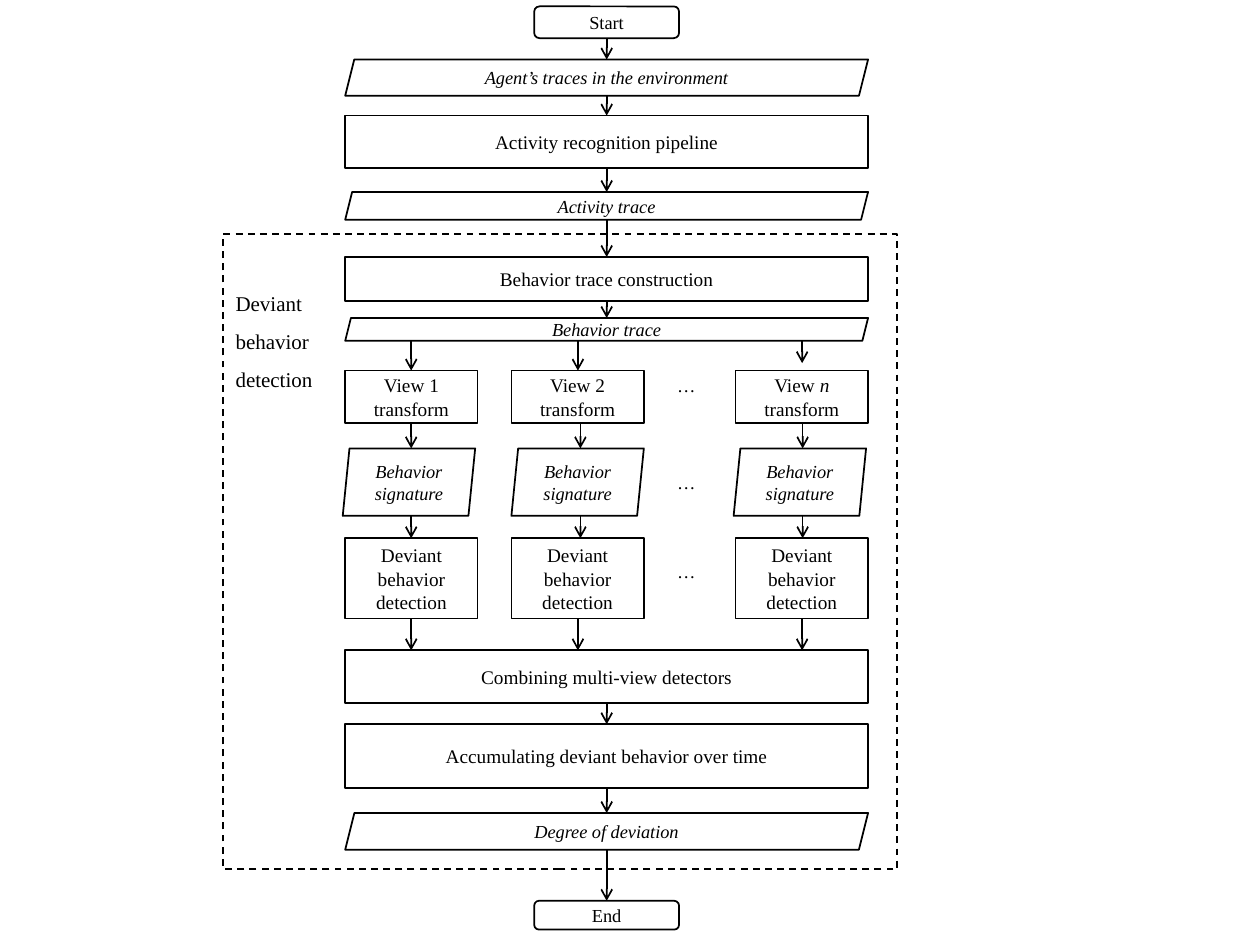
from itertools import pairwise
from typing import NamedTuple

from lxml.etree import SubElement
from pptx import Presentation
from pptx.dml.color import RGBColor
from pptx.enum.dml import MSO_LINE
from pptx.enum.shapes import MSO_CONNECTOR, MSO_SHAPE as Kind
from pptx.enum.text import MSO_ANCHOR as Anchor, PP_ALIGN as Align
from pptx.oxml.ns import qn
from pptx.util import Cm, Pt

BLACK = "000000"
FONT = "Times New Roman"
CENTER = 12.23
WIDE, TERMINAL, BOX = 10.54, 2.92, 2.67


class Step(NamedTuple):
    text: str
    top: float
    height: float
    kind: Kind = Kind.RECTANGLE
    width: float = WIDE

    @property
    def bottom(self) -> float:
        return self.top + self.height


class Column(NamedTuple):
    view: str
    left: float
    signature_left: float
    arrow_x: float
    signature_arrow_x: float
    entry_end: float


def color(value: str) -> RGBColor:
    return RGBColor.from_string(value)


def write(shape, text: str, *, size: float = 11, italic: bool = False,
          align=Align.CENTER, anchor=Anchor.MIDDLE, spacing: float = 1.0) -> None:
    frame = shape.text_frame
    frame.word_wrap = True
    frame.vertical_anchor = anchor
    for index, line in enumerate(text.split("\n")):
        paragraph = frame.add_paragraph() if index else frame.paragraphs[0]
        paragraph.alignment = align
        paragraph.line_spacing = spacing
        for part, words in enumerate(line.split("*")):
            run = paragraph.add_run()
            run.text = words
            run.font.name = FONT
            run.font.size = Pt(size)
            run.font.italic = italic or part % 2 == 1
            run.font.color.rgb = color(BLACK)


def outline(kind: Kind, left: float, top: float, width: float, height: float):
    shape = slide.shapes.add_shape(kind, Cm(left), Cm(top), Cm(width), Cm(height))
    shape.shadow.inherit = False
    shape.fill.background()
    shape.line.color.rgb = color(BLACK)
    shape.line.width = Pt(1)
    return shape


def add_step(step: Step, left: float):
    shape = outline(step.kind, left, step.top, step.width, step.height)
    write(shape, step.text, size=11 if step.kind == Kind.RECTANGLE else 10.5,
          italic=step.kind == Kind.PARALLELOGRAM)
    return shape


def add_arrow(x: float, start: float, end: float) -> None:
    connector = slide.shapes.add_connector(
        MSO_CONNECTOR.STRAIGHT, Cm(x), Cm(start), Cm(x), Cm(end))
    connector.line.color.rgb = color(BLACK)
    connector.line.width = Pt(1)
    SubElement(connector.line._get_or_add_ln(), qn("a:tailEnd"), type="arrow")
    SubElement(connector._element.spPr, qn("a:effectLst"))


def add_chain(steps: list[Step]) -> None:
    for step in steps:
        add_step(step, CENTER - step.width / 2)
    for upper, lower in pairwise(steps):
        add_arrow(CENTER, upper.bottom, lower.top)


def add_column(column: Column) -> None:
    view = Step(column.view, 7.47, 1.06, width=BOX)
    signature = Step("Behavior signature", 9.04, 1.36, Kind.PARALLELOGRAM, BOX)
    detection = Step("Deviant behavior detection", 10.85, 1.62, width=BOX)
    add_step(view, column.left)
    add_step(signature, column.signature_left).adjustments[0] = 0.1
    add_step(detection, column.left)
    add_arrow(column.arrow_x, preparation[-1].bottom, column.entry_end)
    add_arrow(column.signature_arrow_x, view.bottom, signature.top)
    add_arrow(column.signature_arrow_x, signature.bottom, detection.top)
    add_arrow(column.arrow_x, detection.bottom, conclusion[0].top)


def add_ellipsis(top: float) -> None:
    box = slide.shapes.add_textbox(Cm(13.38), Cm(top), Cm(0.91), Cm(0.38))
    frame = box.text_frame
    frame.margin_left = frame.margin_right = Cm(0)
    write(box, "…", size=10.5)


preparation = [
    Step("Start", 0.13, 0.64, Kind.ROUNDED_RECTANGLE, TERMINAL),
    Step("Agent’s traces in the environment", 1.2, 0.73, Kind.PARALLELOGRAM),
    Step("Activity recognition pipeline", 2.33, 1.06),
    Step("Activity trace", 3.87, 0.56, Kind.PARALLELOGRAM),
    Step("Behavior trace construction", 5.18, 0.89),
    Step("Behavior trace", 6.41, 0.46, Kind.PARALLELOGRAM),
]
conclusion = [
    Step("Combining multi-view detectors", 13.11, 1.06),
    Step("Accumulating deviant behavior over time", 14.6, 1.29),
    Step("Degree of deviation", 16.39, 0.74, Kind.PARALLELOGRAM),
    Step("End", 18.16, 0.58, Kind.ROUNDED_RECTANGLE, TERMINAL),
]
columns = [
    Column("View 1\ntransform", 6.96, 6.91, 8.29, 8.29, 7.47),
    Column("View 2\ntransform", 10.31, 10.31, 11.65, 11.7, 7.47),
    Column("View *n* transform", 14.83, 14.79, 16.17, 16.18, 7.32),
]

presentation = Presentation()
presentation.slide_width = Cm(25.4)
presentation.slide_height = Cm(19.05)
slide = presentation.slides.add_slide(presentation.slide_layouts[6])

detection_frame = outline(Kind.RECTANGLE, 4.5, 4.72, 13.59, 12.8)
detection_frame.line.dash_style = MSO_LINE.DASH
detection_frame.text_frame.margin_top = Cm(0.89)
write(detection_frame, "Deviant\nbehavior\ndetection", size=12,
      align=Align.LEFT, anchor=Anchor.TOP, spacing=1.5)

add_chain(preparation)
add_chain(conclusion)
for column in columns:
    add_column(column)
for ellipsis_top in (7.57, 9.53, 11.33):
    add_ellipsis(ellipsis_top)

presentation.save("out.pptx")
